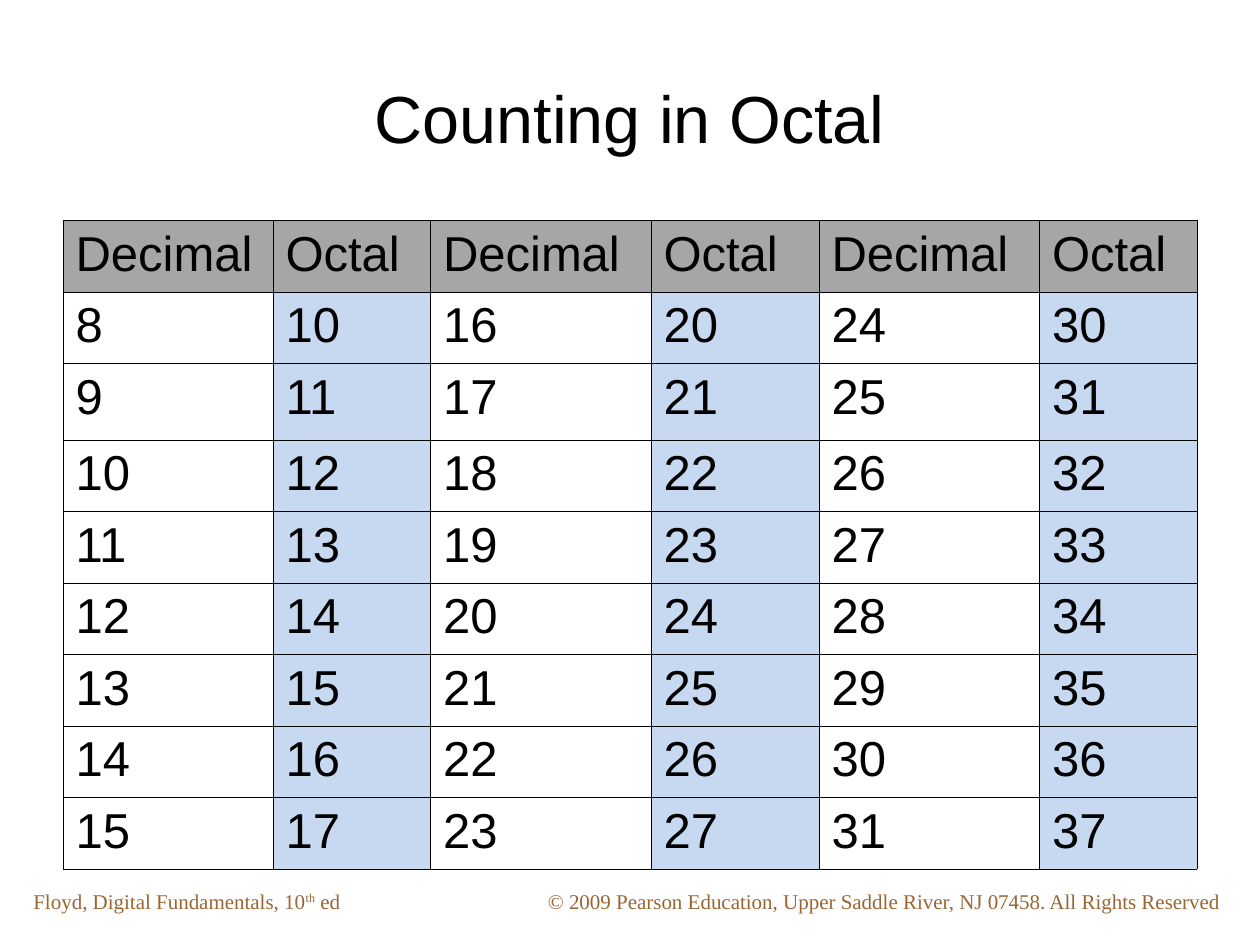
import pptx
import pptx.dml.color
import pptx.enum.text
import pptx.oxml
import pptx.oxml.ns
import pptx.util

BLACK = pptx.dml.color.RGBColor(0x00, 0x00, 0x00)
BROWN = pptx.dml.color.RGBColor(0x99, 0x66, 0x33)
HEADER_GRAY = pptx.dml.color.RGBColor(0xA6, 0xA6, 0xA6)
OCTAL_BLUE = pptx.dml.color.RGBColor(0xC6, 0xD9, 0xF1)

ALIGN = pptx.enum.text.PP_ALIGN
ANCHOR = pptx.enum.text.MSO_ANCHOR
PX_PER_INCH = 192

TITLE = {"name": "Arial", "size": pptx.util.Pt(38), "color": BLACK}
CELL = {"name": "Arial", "size": pptx.util.Pt(28), "color": BLACK}
FOOTER = {"name": "Times New Roman", "size": pptx.util.Pt(12), "color": BROWN}

COLUMN_WIDTHS = [320, 240, 336, 256, 336, 240]
ROW_HEIGHTS = [109, 109, 117] + [109] * 6
FIRST_NUMBERS = [8, 16, 24]


def px(length):
    return pptx.util.Emu(round(length * 914400 / PX_PER_INCH))


class SlideBuilder:
    border_width = pptx.util.Pt(0.45)

    def __init__(self, slide):
        self.slide = slide

    def span(self, para, text, style, baseline=None):
        span = para.add_run()
        span.text = text
        for name, value in style.items():
            if name == "color":
                span.font.color.rgb = value
            else:
                setattr(span.font, name, value)
        if baseline:
            span._r.get_or_add_rPr().set("baseline", str(baseline))

    def text(self, left, top, width, height, parts, style,
             align=ALIGN.LEFT, anchor=ANCHOR.TOP):
        box = self.slide.shapes.add_textbox(px(left), px(top), px(width), px(height))
        frame = box.text_frame
        frame.word_wrap = True
        frame.vertical_anchor = anchor
        para = frame.paragraphs[0]
        para.alignment = align
        for text, baseline in parts:
            self.span(para, text, style, baseline)

    def border(self, cell):
        properties = cell._tc.get_or_add_tcPr()
        for position, side in enumerate(("lnL", "lnR", "lnT", "lnB")):
            line = pptx.oxml.parse_xml(
                f'<a:{side} {pptx.oxml.ns.nsdecls("a")} w="{self.border_width}">'
                f'<a:solidFill><a:srgbClr val="{BLACK}"/></a:solidFill></a:{side}>'
            )
            properties.insert(position, line)

    def table(self, left, top, widths, heights, rows, fill_for):
        frame = self.slide.shapes.add_table(
            len(heights), len(widths), px(left), px(top), px(sum(widths)), px(sum(heights))
        )
        table = frame.table
        table.first_row = False
        table.horz_banding = False
        for column, width in zip(table.columns, widths):
            column.width = px(width)
        for row, height in zip(table.rows, heights):
            row.height = px(height)
        for row_index, values in enumerate(rows):
            for column_index, value in enumerate(values):
                cell = table.cell(row_index, column_index)
                fill = fill_for(row_index, column_index)
                if fill is None:
                    cell.fill.background()
                else:
                    cell.fill.solid()
                    cell.fill.fore_color.rgb = fill
                self.border(cell)
                para = cell.text_frame.paragraphs[0]
                para.alignment = ALIGN.JUSTIFY
                self.span(para, value, CELL)


def counting_rows():
    rows = [["Decimal", "Octal"] * len(FIRST_NUMBERS)]
    for step in range(8):
        rows.append([
            format(first + step, base) for first in FIRST_NUMBERS for base in ("d", "o")
        ])
    return rows


def counting_fill(row, column):
    if row == 0:
        return HEADER_GRAY
    return OCTAL_BLUE if column % 2 else None


def main():
    deck = pptx.Presentation()
    deck.slide_width = px(1920)
    deck.slide_height = px(1440)
    builder = SlideBuilder(deck.slides.add_slide(deck.slide_layouts[6]))

    builder.text(
        816, 1344, 1071, 58,
        [("© 2009 Pearson Education, Upper Saddle River, NJ 07458. All Rights Reserved", None)],
        FOOTER,
    )
    builder.text(
        32, 1344, 592, 58,
        [("Floyd, Digital Fundamentals, 10", None), ("th", 30000), (" ed", None)],
        FOOTER,
    )
    builder.text(96, 58, 1728, 240, [("Counting in Octal", None)], TITLE,
                 ALIGN.CENTER, ANCHOR.MIDDLE)
    builder.table(96, 336, COLUMN_WIDTHS, ROW_HEIGHTS, counting_rows(), counting_fill)

    deck.save("out.pptx")


if __name__ == "__main__":
    main()
